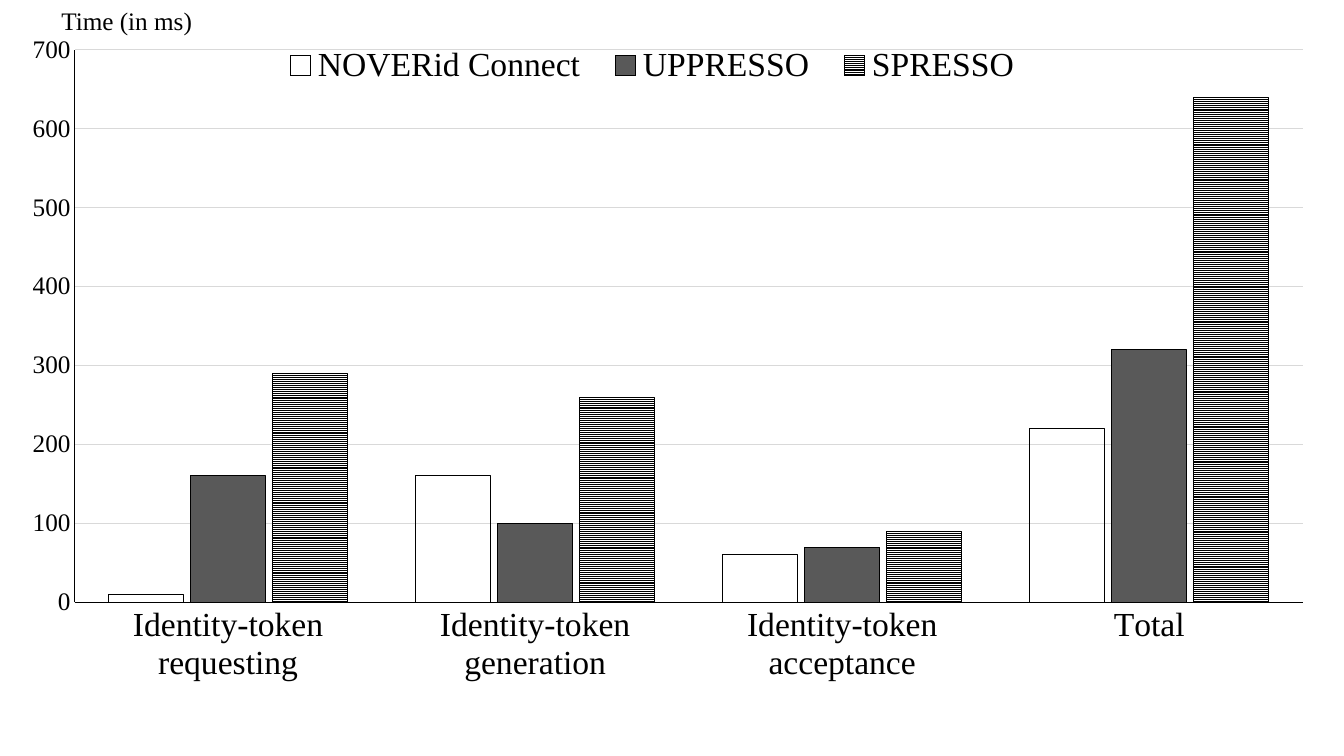
from dataclasses import dataclass

import pptx
import pptx.chart.data
import pptx.dml.color
import pptx.enum.chart
import pptx.enum.dml
import pptx.enum.text
import pptx.oxml
import pptx.oxml.ns
import pptx.util
from pptx.util import Inches


@dataclass(frozen=True)
class Theme:
    font: str = "Times New Roman"
    ink: str = "000000"
    paper: str = "FFFFFF"
    bar_gray: str = "595959"
    grid: str = "D9D9D9"
    base_size: float = 10
    scale_size: float = 18
    label_size: float = 24
    line_width: float = 0.75


THEME = Theme()

STAGES = [
    "Identity-token requesting",
    "Identity-token generation",
    "Identity-token acceptance",
    "Total",
]
TIMES = {
    "NOVERid Connect": (10, 160, 60, 220),
    "UPPRESSO": (160, 100, 70, 320),
    "SPRESSO": (290, 260, 90, 640),
}


def color(value):
    return pptx.dml.color.RGBColor.from_string(value)


def style_font(font, size):
    font.name = THEME.font
    font.size = pptx.util.Pt(size)
    font.bold = False
    font.color.rgb = color(THEME.ink)


def style_line(line, value=THEME.ink):
    line.color.rgb = color(value)
    line.width = pptx.util.Pt(THEME.line_width)


def add_text(page, text, *, left, top, width, height, size):
    box = page.shapes.add_textbox(
        Inches(left), Inches(top), Inches(width), Inches(height)
    )
    frame = box.text_frame
    frame.word_wrap = False
    frame.auto_size = pptx.enum.text.MSO_AUTO_SIZE.SHAPE_TO_FIT_TEXT
    span = frame.paragraphs[0].add_run()
    span.text = text
    style_font(span.font, size)
    return box


def set_layout(element, position, inner=False, **fractions):
    qn = pptx.oxml.ns.qn
    for old in element.findall(qn("c:layout")):
        element.remove(old)
    target = '<c:layoutTarget val="inner"/>' if inner else ""
    modes = '<c:xMode val="edge"/><c:yMode val="edge"/>'
    sizes = "".join(f'<c:{key} val="{value}"/>' for key, value in fractions.items())
    layout = pptx.oxml.parse_xml(
        f"<c:layout {pptx.oxml.ns.nsdecls('c')}>"
        f"<c:manualLayout>{target}{modes}{sizes}</c:manualLayout></c:layout>"
    )
    element.insert(position, layout)


def style_axis(axis, size):
    axis.major_tick_mark = pptx.enum.chart.XL_TICK_MARK.NONE
    axis.minor_tick_mark = pptx.enum.chart.XL_TICK_MARK.NONE
    style_font(axis.tick_labels.font, size)
    style_line(axis.format.line)


def style_bars(plot):
    plot.gap_width = 90
    plot.overlap = -9
    plot.vary_by_categories = False
    connect, uppresso, spresso = plot.series
    for series in plot.series:
        series.invert_if_negative = False
        style_line(series.format.line)
    connect.format.fill.background()
    uppresso.format.fill.solid()
    uppresso.format.fill.fore_color.rgb = color(THEME.bar_gray)
    stripes = spresso.format.fill
    stripes.patterned()
    stripes.pattern = pptx.enum.dml.MSO_PATTERN.LIGHT_HORIZONTAL
    stripes.fore_color.rgb = color(THEME.ink)
    stripes.back_color.rgb = color(THEME.paper)


def add_legend(chart):
    chart.has_legend = True
    legend = chart.legend
    legend.position = pptx.enum.chart.XL_LEGEND_POSITION.BOTTOM
    legend.include_in_layout = False
    style_font(legend.font, THEME.label_size)
    set_layout(legend._element, 1, x=0.2, y=0.03, w=0.58, h=0.06)


def add_time_chart(page):
    data = pptx.chart.data.CategoryChartData()
    data.categories = STAGES
    for name, values in TIMES.items():
        data.add_series(name, values)
    chart = page.shapes.add_chart(
        pptx.enum.chart.XL_CHART_TYPE.COLUMN_CLUSTERED,
        Inches(0), Inches(0.21), Inches(13.2), Inches(7.29), data,
    ).chart
    chart.has_title = False
    style_font(chart.font, THEME.base_size)
    style_axis(chart.category_axis, THEME.label_size)

    scale = chart.value_axis
    style_axis(scale, THEME.scale_size)
    scale.minimum_scale = 0
    scale.maximum_scale = 700
    scale.major_unit = 100
    scale.has_major_gridlines = True
    style_line(scale.major_gridlines.format.line, THEME.grid)

    style_bars(chart.plots[0])
    add_legend(chart)
    plot_area = chart._chartSpace.chart.plotArea
    set_layout(plot_area, 0, inner=True, x=0.056, y=0.039, w=0.923, h=0.752)


def main():
    deck = pptx.Presentation()
    deck.slide_width = Inches(13.33)
    deck.slide_height = Inches(7.5)
    page = deck.slides.add_slide(deck.slide_layouts.get_by_name("Blank"))
    add_time_chart(page)
    add_text(
        page, "Time (in ms)",
        left=0.51, top=0, width=1.51, height=0.4, size=THEME.scale_size,
    )
    deck.save("out.pptx")


if __name__ == "__main__":
    main()
